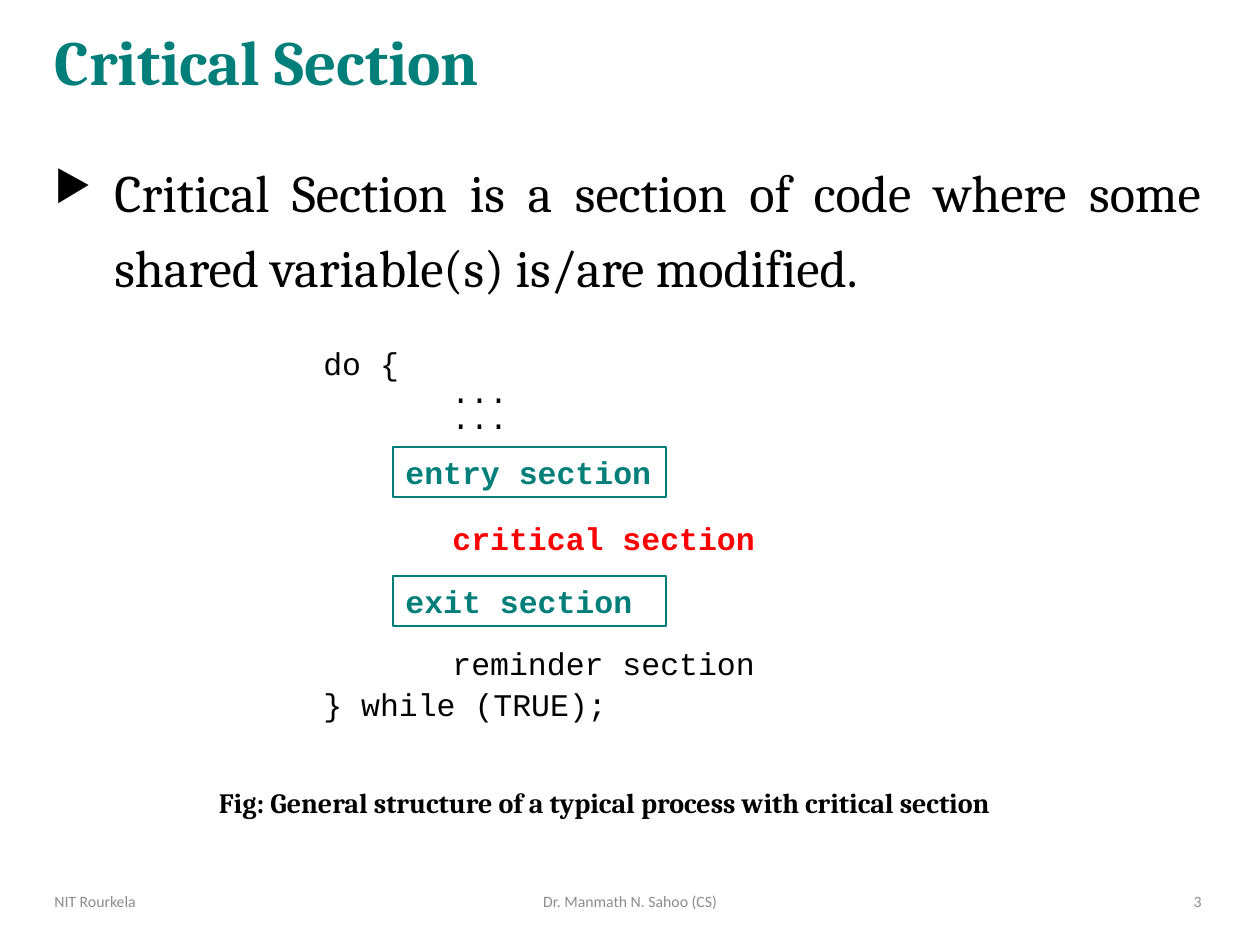
from lxml.etree import SubElement
from pptx import Presentation
from pptx.dml.color import RGBColor
from pptx.enum.shapes import MSO_SHAPE as Preset
from pptx.enum.text import MSO_ANCHOR as Anchor, PP_ALIGN as Align
from pptx.oxml.ns import qn
from pptx.util import Pt

SCALE = 914400 / 126
TEAL, BLACK, RED, GRAY = "007E7A", "000000", "FF0000", "8C8C8C"
TITLE = dict(name="Cambria", size=Pt(36), bold=True)
BODY = dict(name="Cambria", size=Pt(30))
CAPTION = dict(name="Cambria", size=Pt(16), bold=True)
CODE = dict(name="Courier New", size=Pt(18))
CODE_BOLD = dict(CODE, bold=True)
FOOTER = dict(name="Calibri", size=Pt(9))


def px(length):
    """Turn pixels into EMU."""
    return round(length * SCALE)


def color(value):
    """Turn a hex string into a colour."""
    return RGBColor.from_string(value)


def set_values(target, values):
    """Set attributes of an object from a dict."""
    for name, value in values.items():
        setattr(target, name, value)


def write(shape, lines, font, ink, anchor=Anchor.TOP, wrap=True):
    """Fill a shape with (text, paragraph format) lines and return the paragraphs."""
    frame = shape.text_frame
    set_values(frame, dict(word_wrap=wrap, vertical_anchor=anchor))
    for index, (text, layout) in enumerate(lines):
        paragraph = frame.add_paragraph() if index else frame.paragraphs[0]
        set_values(paragraph, dict(dict(alignment=Align.LEFT), **layout))
        run = paragraph.add_run()
        run.text = text
        set_values(run.font, font)
        run.font.color.rgb = color(ink)
    return frame.paragraphs


def add_text(slide, box, lines, font, ink, **options):
    """Add a text box at a pixel box."""
    shape = slide.shapes.add_textbox(*map(px, box))
    return write(shape, lines, font, ink, **options)


def indent(paragraph, left, first=0):
    """Set the left margin and first-line indent of a paragraph."""
    properties = paragraph._p.get_or_add_pPr()
    properties.set("marL", str(px(left)))
    properties.set("indent", str(px(first)))
    return properties


def add_heading(slide, box):
    """Add the slide title."""
    add_text(slide, box, [("Critical Section", dict(line_spacing=0.9))],
             TITLE, TEAL, anchor=Anchor.MIDDLE)


def add_definition(slide, box):
    """Add the bulleted definition."""
    text = ("Critical Section is a section of code where some "
            "shared variable(s) is/are modified.")
    layout = dict(alignment=Align.JUSTIFY, line_spacing=1.2, space_after=Pt(10))
    paragraph = add_text(slide, box, [(text, layout)], BODY, BLACK)[0]
    properties = indent(paragraph, 60, -60)
    SubElement(properties, qn("a:buSzPct")).set("val", "80000")
    SubElement(properties, qn("a:buChar")).set("char", "\u25b6")


def add_section_box(slide, box, text):
    """Add an outlined section of the code."""
    shape = slide.shapes.add_shape(Preset.RECTANGLE, *map(px, box))
    shape.shadow.inherit = False
    shape.fill.background()
    shape.line.color.rgb = color(TEAL)
    shape.line.width = Pt(0.75)
    write(shape, [(text, {})], CODE_BOLD, TEAL)


def add_code(slide, box):
    """Add the process loop with its four sections."""
    left, top, width, height = box
    dots = ("...", dict(line_spacing=0.7))
    lines = [("do {", {}), dots, dots, ("} while (TRUE);", dict(space_before=Pt(143)))]
    paragraphs = add_text(slide, box, lines, CODE, BLACK)
    for paragraph in paragraphs[1:3]:
        indent(paragraph, 128)
    for y, text in ((109, "entry section"), (238, "exit section")):
        add_section_box(slide, (left + 82, top + y, 273, 50), text)
    for y, text, font, ink in ((175, "critical section", CODE_BOLD, RED),
                               (300, "reminder section", CODE, BLACK)):
        add_text(slide, (left + 129, top + y, 329, 50), [(text, {})], font, ink,
                 wrap=False)


def add_caption(slide, box):
    """Add the figure caption."""
    text = "Fig: General structure of a typical process with critical section"
    add_text(slide, box, [(text, dict(alignment=Align.CENTER))], CAPTION, BLACK)


def add_footer(slide, box):
    """Add the three footer texts."""
    left, top, width, height = box
    for x, part, text, alignment in (
            (0, 328, "NIT Rourkela", Align.LEFT),
            (375, 426, "Dr. Manmath N. Sahoo (CS)", Align.CENTER),
            (width - 299, 299, "3", Align.RIGHT)):
        add_text(slide, (left + x, top, part, height),
                 [(text, dict(alignment=alignment))], FOOTER, GRAY,
                 anchor=Anchor.MIDDLE)


def build():
    """Build and save the presentation."""
    presentation = Presentation()
    set_values(presentation, dict(slide_width=px(1260), slide_height=px(945)))
    slide = presentation.slides.add_slide(presentation.slide_layouts[6])
    add_heading(slide, (42, 5, 1172, 121))
    add_definition(slide, (42, 141, 1172, 711))
    add_caption(slide, (82, 779, 1045, 46))
    add_code(slide, (311, 338, 615, 410))
    add_footer(slide, (42, 876, 1172, 50))
    presentation.save("out.pptx")


build()
